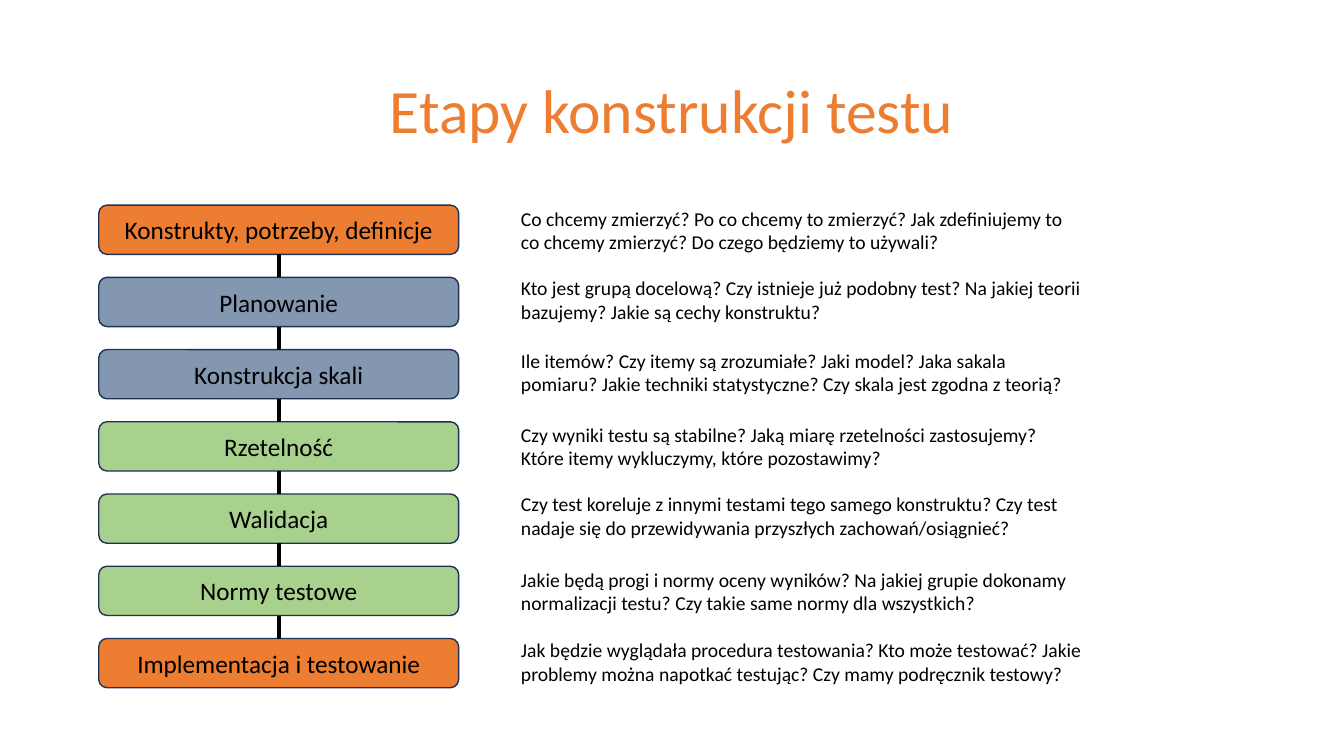
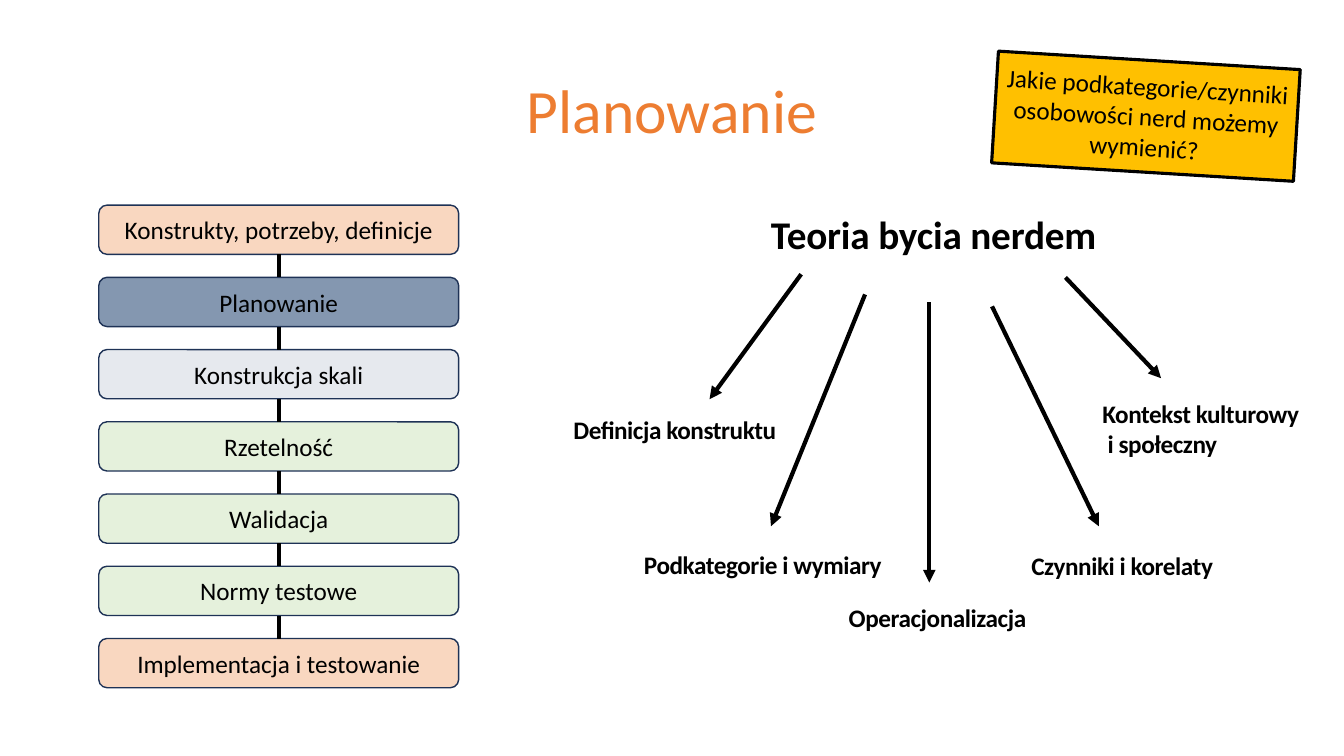
import pptx
import pptx.util
import pptx.dml.color
import pptx.enum.shapes
import pptx.enum.text
import pptx.oxml.ns
from lxml import etree

Cm = pptx.util.Cm
Pt = pptx.util.Pt
Rgb = pptx.dml.color.RGBColor.from_string
qn = pptx.oxml.ns.qn
Kind = pptx.enum.shapes.MSO_SHAPE
Align = pptx.enum.text.PP_ALIGN
Anchor = pptx.enum.text.MSO_ANCHOR
Fit = pptx.enum.text.MSO_AUTO_SIZE


class Theme:
    font = "Calibri"
    orange, blue, pale, green = "ED7D31", "8497B0", "ADB9CA", "A9D18E"
    yellow, black, edge = "FFC000", "000000", "1E3256"
    title, head, body, small = 44, 28, 18, 14
    thin, frame, thick = 1, 2.25, 3
    fade = 30


def write(shape, text, size=Theme.body, color=Theme.black, bold=False,
          align=Align.CENTER, anchor=Anchor.MIDDLE, lead=None, track=0, label=False):
    frame = shape.text_frame
    frame.word_wrap = True
    frame.vertical_anchor = anchor
    if label:
        frame.margin_left = frame.margin_right = frame.margin_bottom = 0
        frame.margin_top = Cm(0.03)
        frame.auto_size = Fit.SHAPE_TO_FIT_TEXT
    frame.text = text
    for para in frame.paragraphs:
        para.alignment = align
        if lead:
            para.line_spacing = lead
        for run in para.runs:
            run.font.name = Theme.font
            run.font.size = Pt(size)
            run.font.bold = bold
            run.font.color.rgb = Rgb(color)
    if track:
        for prop in shape.element.iter(qn("a:rPr")):
            prop.set("spc", str(track))


def link(slide, start, end, arrow=False):
    line = slide.shapes.add_connector(
        pptx.enum.shapes.MSO_CONNECTOR.STRAIGHT, *map(Cm, start + end))
    line.line.color.rgb = Rgb(Theme.black)
    line.line.width = Pt(Theme.thick)
    props = line.element.spPr
    if arrow:
        etree.SubElement(props.find(qn("a:ln")), qn("a:tailEnd"), type="triangle")
    etree.SubElement(props, qn("a:effectLst"))
    return line


deck = pptx.Presentation()
deck.slide_width, deck.slide_height = Cm(33.87), Cm(19.05)

# Shared frame: title and chain of stages
stages = ["Konstrukty, potrzeby, definicje", "Planowanie", "Konstrukcja skali",
          "Rzetelność", "Walidacja", "Normy testowe", "Implementacja i testowanie"]
left, top, wide, high, step = 2.49, 5.17, 9.07, 1.24, 1.82
mid = left + wide / 2
ends = [Theme.orange], [Theme.green] * 3 + [Theme.orange]
pages = [
    ("Etapy konstrukcji testu", ends[0] + [Theme.blue] * 2 + ends[1], None),
    ("Planowanie", ends[0] + [Theme.blue, Theme.pale] + ends[1], 1),
]
slides = []
for title, fills, focus in pages:
    slide = deck.slides.add_slide(deck.slide_layouts[6])
    slides.append(slide)
    box = slide.shapes.add_textbox(Cm(2.33), Cm(1.01), Cm(29.21), Cm(3.68))
    write(box, title, size=Theme.title, color=Theme.orange, lead=0.9)
    last = None
    for row, (stage, fill) in enumerate(zip(stages, fills)):
        y = top + row * step
        box = slide.shapes.add_shape(
            Kind.ROUNDED_RECTANGLE, Cm(left), Cm(y), Cm(wide), Cm(high))
        box.shadow.inherit = False
        box.fill.solid()
        box.fill.fore_color.rgb = Rgb(fill)
        box.line.color.rgb = Rgb(Theme.edge)
        box.line.width = Pt(Theme.thin)
        if focus is not None and row != focus:
            tint = box.element.spPr.find(qn("a:solidFill")).find(qn("a:srgbClr"))
            etree.SubElement(tint, qn("a:alpha"), val=str(Theme.fade * 1000))
        write(box, stage)
        if last is not None:
            line = link(slide, (mid, y - step + high), (mid, y))
            line.begin_connect(last, 2)
            line.end_connect(box, 0)
        last = box
first, second = slides

# Slide 1: questions beside each stage
asks = [
    (5.18, "Co chcemy zmierzyć? Po co chcemy to zmierzyć? Jak zdefiniujemy to "
           "co chcemy zmierzyć? Do czego będziemy to używali?"),
    (6.93, "Kto jest grupą docelową? Czy istnieje już podobny test? Na jakiej teorii "
           "bazujemy? Jakie są cechy konstruktu?"),
    (8.76, "Ile itemów? Czy itemy są zrozumiałe? Jaki model? Jaka sakala "
           "pomiaru? Jakie techniki statystyczne? Czy skala jest zgodna z teorią?"),
    (10.62, "Czy wyniki testu są stabilne? Jaką miarę rzetelności zastosujemy? "
            "Które itemy wykluczymy, które pozostawimy?"),
    (12.37, "Czy test koreluje z innymi testami tego samego konstruktu? Czy test "
            "nadaje się do przewidywania przyszłych zachowań/osiągnieć?"),
    (14.27, "Jakie będą progi i normy oceny wyników? Na jakiej grupie dokonamy "
            "normalizacji testu? Czy takie same normy dla wszystkich?"),
    (16.05, "Jak będzie wyglądała procedura testowania? Kto może testować? Jakie "
            "problemy można napotkać testując? Czy mamy podręcznik testowy?"),
]
for y, text in asks:
    box = first.shapes.add_textbox(Cm(13.13), Cm(y), Cm(14.17), Cm(high))
    write(box, text, size=Theme.small, align=Align.LEFT, anchor=Anchor.TOP, label=True)

# Slide 2: theory and its parts
labels = [
    ("Teoria bycia nerdem", 19.43, 5.26, 9.63, 1.22, Theme.head, -10),
    ("Definicja konstruktu", 14.45, 10.42, 5.31, 0.81, Theme.body, -30),
    ("Podkategorie i wymiary", 16.23, 13.82, 6.12, 0.81, Theme.body, -30),
    ("Operacjonalizacja", 21.39, 15.16, 6.12, 0.81, Theme.body, -30),
    ("Czynniki i korelaty", 25.99, 13.84, 6.12, 0.81, Theme.body, -30),
    ("Kontekst kulturowy\v i społeczny", 27.78, 10.01, 6.08, 1.57, Theme.body, -30),
]
for text, x, y, w, h, size, track in labels:
    box = second.shapes.add_textbox(Cm(x), Cm(y), Cm(w), Cm(h))
    write(box, text, size=size, bold=True, align=Align.LEFT, anchor=Anchor.TOP,
          track=track, label=True)

arrows = [
    ((20.19, 6.91), (17.88, 10.06)),
    ((21.8, 7.42), (19.43, 13.26)),
    ((23.42, 7.62), (23.42, 14.68)),
    ((26.85, 6.99), (29.26, 9.53)),
    ((25, 7.72), (27.69, 13.26)),
]
for start, end in arrows:
    link(second, start, end, arrow=True)

# Slide 2: tilted question
card = second.shapes.add_shape(Kind.RECTANGLE, Cm(25.07), Cm(1.52), Cm(7.62), Cm(2.82))
card.rotation = 3.5
card.shadow.inherit = False
card.fill.solid()
card.fill.fore_color.rgb = Rgb(Theme.yellow)
card.line.color.rgb = Rgb(Theme.black)
card.line.width = Pt(Theme.frame)
write(card, "Jakie podkategorie/czynniki osobowości nerd możemy wymienić?")

deck.save("out.pptx")
